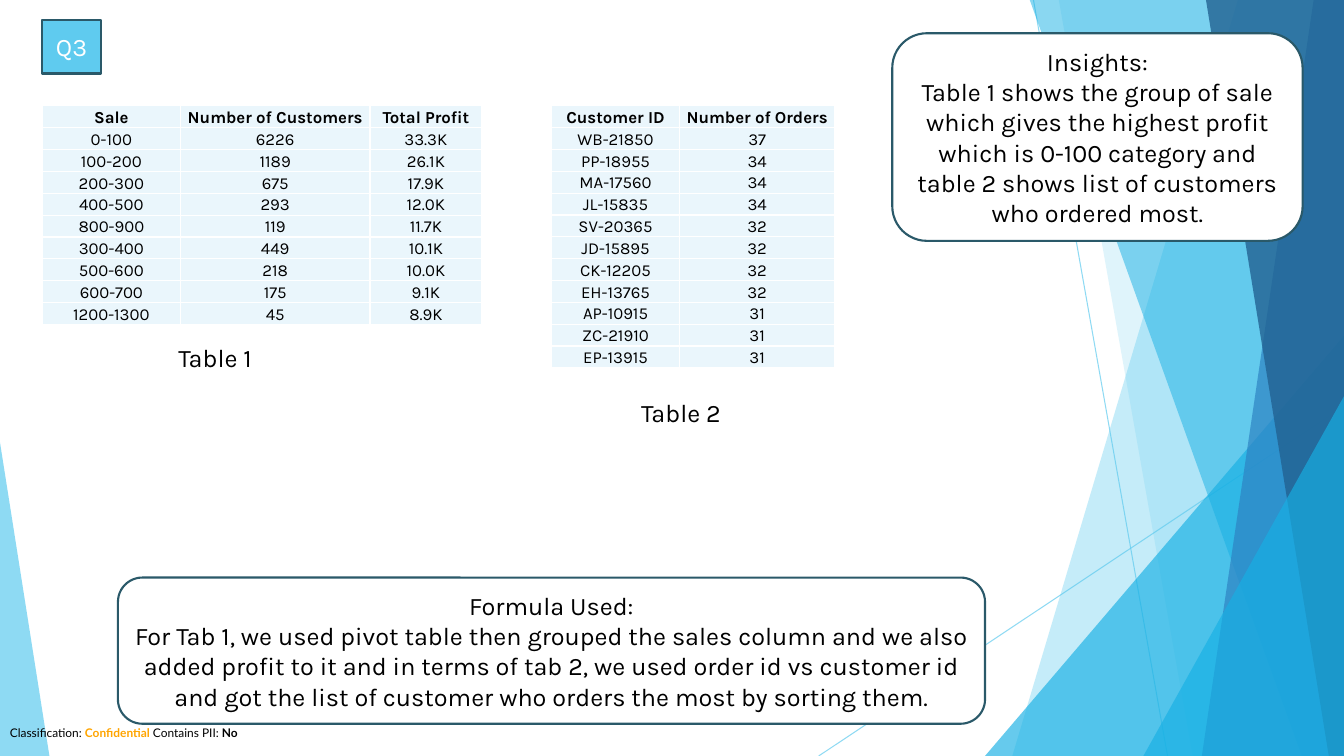
import lxml.etree
import pptx
import pptx.dml.color
import pptx.enum.shapes
import pptx.enum.text
import pptx.oxml.ns
import pptx.util

PX = 9144
WIDTH, HEIGHT = 1333, 750
THEME = {
    "sky": "5FCBEF", "cyan": "17B0E4", "blue": "2E83C3", "navy": "226292",
    "outline": "2A5969", "cell": "EAF6FC", "white": "FFFFFF", "text": "000000",
    "alert": "FFA500", "font": "Karla", "footer_font": "Lato",
    "body_size": 18, "table_size": 12, "footer_size": 8.5,
}
SHAPES = pptx.enum.shapes.MSO_SHAPE
CENTER = pptx.enum.text.PP_ALIGN.CENTER
ANCHOR = pptx.enum.text.MSO_ANCHOR
qn = pptx.oxml.ns.qn


def color(name):
    return pptx.dml.color.RGBColor.from_string(THEME[name])


def style_text(text_frame, size="body_size", font="font", ink="text", bold=False, align=None):
    for paragraph in text_frame.paragraphs:
        paragraph.alignment = align
        for run in paragraph.runs:
            run.font.size = pptx.util.Pt(THEME[size])
            run.font.name = THEME[font]
            run.font.bold = bold
            run.font.color.rgb = color(ink)


presentation = pptx.Presentation()
presentation.slide_width = WIDTH * PX
presentation.slide_height = HEIGHT * PX
slide = presentation.slides.add_slide(presentation.slide_layouts[5])
shapes = slide.shapes

backdrop = []
for ends in [(1025, 0, 1158, 750), (1333, 403, 812, 750)]:
    line = shapes.add_connector(
        pptx.enum.shapes.MSO_CONNECTOR.STRAIGHT, *(value * PX for value in ends))
    line.line.color.rgb = color("sky")
    line.line.width = pptx.util.Pt(0.75)
    lxml.etree.SubElement(line.element.spPr, qn("a:effectLst"))
    backdrop.append((line, 70))

facets = [
    ("sky", 36, {"top_x": 1228, "bottom_x": 1004}),
    ("sky", 20, {"top_x": 1050, "bottom_x": 1183}),
    ("cyan", 66, {"box": (977, 333, 356, 417), "apex": 1}),
    ("cyan", 50, {"top_x": 1021, "bottom_x": 1291}),
    ("blue", 70, {"top_x": 1303, "bottom_x": 1192}),
    ("navy", 80, {"top_x": 1196, "bottom_x": 1318}),
    ("cyan", 66, {"box": (1134, 393, 199, 357), "apex": 1}),
    ("sky", 70, {"box": (0, 439, 49, 311), "apex": 0}),
]
for fill, opacity, geometry in facets:
    if "box" in geometry:
        facet = shapes.add_shape(
            SHAPES.ISOSCELES_TRIANGLE, *(value * PX for value in geometry["box"]))
        facet.adjustments[0] = geometry["apex"]
    else:
        builder = shapes.build_freeform(geometry["top_x"], -1, scale=PX)
        builder.add_line_segments(
            [(WIDTH, -1), (WIDTH, HEIGHT), (geometry["bottom_x"], HEIGHT)], close=True)
        facet = builder.convert_to_shape()
    facet.fill.solid()
    facet.fill.fore_color.rgb = color(fill)
    facet.line.fill.background()
    facet.shadow.inherit = False
    backdrop.append((facet, opacity))

for shape, opacity in backdrop:
    tint = next(shape.element.spPr.iter(qn("a:srgbClr")))
    lxml.etree.SubElement(tint, qn("a:alpha"), val=str(opacity * 1000))

footer = shapes.add_textbox(0, 715 * PX, WIDTH * PX, 24 * PX).text_frame
footer.word_wrap = True
for text in ["Classification: ", "Confidential", " Contains PII: ", "No"]:
    footer.paragraphs[0].add_run().text = text
style_text(footer, "footer_size", "footer_font")
label, level, notice, answer = footer.paragraphs[0].runs
level.font.color.rgb = color("alert")
level.font.bold = answer.font.bold = True

title = shapes.title
title.left, title.top, title.width, title.height = (value * PX for value in (42, 20, 58, 53))
insights = shapes.add_shape(
    SHAPES.ROUNDED_RECTANGLE, *(value * PX for value in (885, 33, 407, 206)))
formula = shapes.add_shape(
    SHAPES.ROUNDED_RECTANGLE, *(value * PX for value in (117, 573, 860, 145)))
cards = [
    (title, "Q3", "sky", "white"),
    (insights, "Insights:\nTable 1 shows the group of sale which gives the highest profit "
     "which is 0-100 category and table 2 shows list of customers who ordered most.",
     "white", "text"),
    (formula, "Formula Used:\nFor Tab 1, we used pivot table then grouped the sales column "
     "and we also added profit to it and in terms of tab 2, we used order id vs customer id "
     "and got the list of customer who orders the most by sorting them.",
     "white", "text"),
]
for card, text, fill, ink in cards:
    card.fill.solid()
    card.fill.fore_color.rgb = color(fill)
    card.line.color.rgb = color("outline")
    card.line.width = pptx.util.Pt(1.5)
    card.shadow.inherit = False
    card.text_frame.text = text
    card.text_frame.word_wrap = True
    card.text_frame.auto_size = pptx.enum.text.MSO_AUTO_SIZE.NONE
    card.text_frame.vertical_anchor = ANCHOR.MIDDLE
    style_text(card.text_frame, ink=ink, align=CENTER)

sales = [
    ("Sale", "Number of Customers", "Total Profit"),
    ("0-100", "6226", "33.3K"),
    ("100-200", "1189", "26.1K"),
    ("200-300", "675", "17.9K"),
    ("400-500", "293", "12.0K"),
    ("800-900", "119", "11.7K"),
    ("300-400", "449", "10.1K"),
    ("500-600", "218", "10.0K"),
    ("600-700", "175", "9.1K"),
    ("1200-1300", "45", "8.9K"),
]
orders = [
    ("Customer ID", "Number of Orders"),
    ("WB-21850", "37"),
    ("PP-18955", "34"),
    ("MA-17560", "34"),
    ("JL-15835", "34"),
    ("SV-20365", "32"),
    ("JD-15895", "32"),
    ("CK-12205", "32"),
    ("EH-13765", "32"),
    ("AP-10915", "31"),
    ("ZC-21910", "31"),
    ("EP-13915", "31"),
]
tables = [
    (sales, 42, 217, [137, 188, 111], "Table 1", 167, 335),
    (orders, 547, 260, [127, 154], "Table 2", 626, 389),
]
for rows, left, height, widths, caption_text, caption_left, caption_top in tables:
    table = shapes.add_table(len(rows), len(widths), left * PX, 105 * PX,
                             sum(widths) * PX, height * PX).table
    table.first_row = table.horz_banding = False
    for column, width in zip(table.columns, widths):
        column.width = width * PX
    for row_index, row in enumerate(rows):
        for column_index, text in enumerate(row):
            cell = table.cell(row_index, column_index)
            cell.text_frame.text = text
            cell.margin_left = cell.margin_right = cell.margin_top = PX
            cell.margin_bottom = 0
            cell.vertical_anchor = ANCHOR.BOTTOM
            style_text(cell.text_frame, "table_size", bold=row_index == 0, align=CENTER)
            properties = cell._tc.get_or_add_tcPr()
            for side in ["a:lnL", "a:lnR", "a:lnT", "a:lnB"]:
                border = lxml.etree.SubElement(properties, qn(side), w=str(pptx.util.Pt(1)))
                paint = lxml.etree.SubElement(border, qn("a:solidFill"))
                lxml.etree.SubElement(paint, qn("a:srgbClr"), val=THEME["white"])
            cell.fill.solid()
            cell.fill.fore_color.rgb = color("cell")
    caption = shapes.add_textbox(
        caption_left * PX, caption_top * PX, 269 * PX, 40 * PX).text_frame
    caption.word_wrap = True
    caption.text = caption_text
    style_text(caption)

presentation.save("out.pptx")
